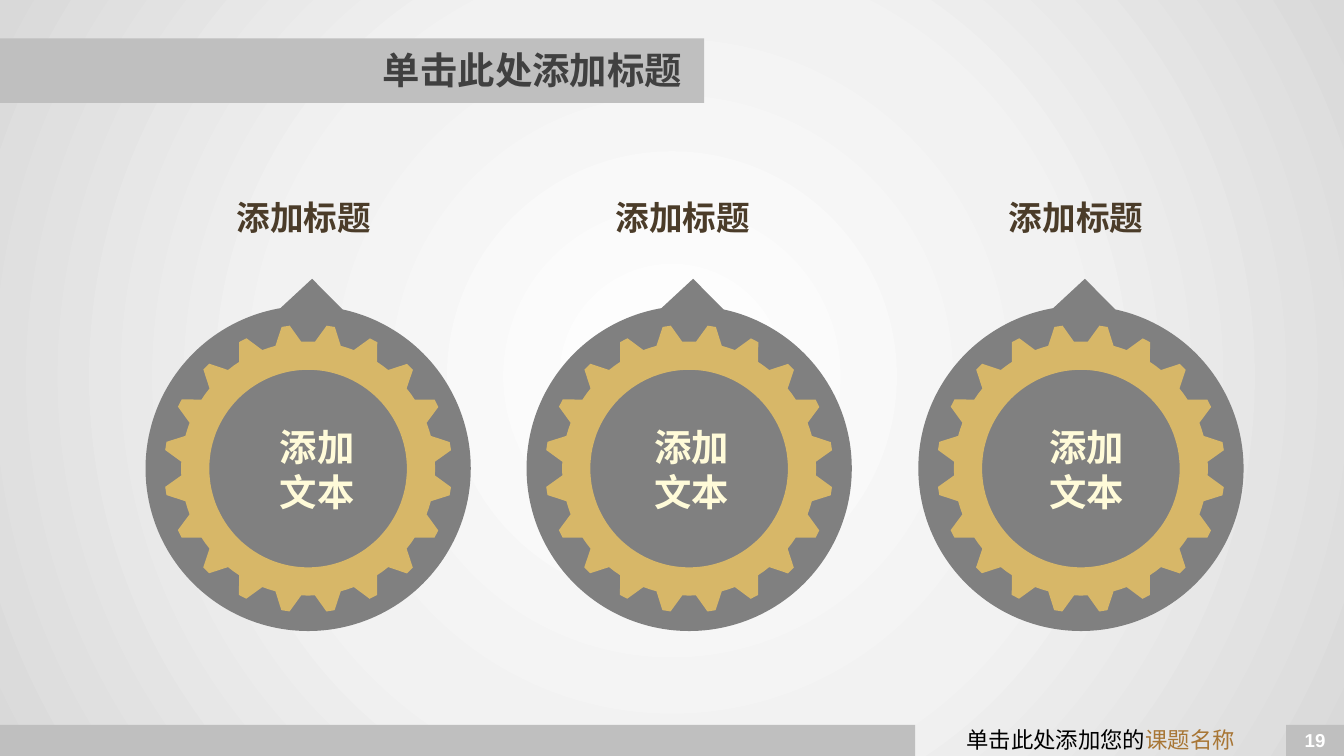
import math

import lxml.etree
import pptx
import pptx.dml.color
import pptx.enum.shapes
import pptx.enum.text
import pptx.oxml.ns
import pptx.util

ALIGN = pptx.enum.text.PP_ALIGN
SHAPE = pptx.enum.shapes.MSO_SHAPE
qn = pptx.oxml.ns.qn

COLUMNS, ROWS = 100, 56.25
CELL = pptx.util.Inches(0.1)
BAND, DISC, GOLD = "BFBFBF", "808080", "D7B768"


def color(value):
    return pptx.dml.color.RGBColor.from_string(value)


def grid(*cells):
    return [round(cell * CELL) for cell in cells]


def ring(center, radii, angles):
    x, y = center
    return [
        grid(x + r * math.sin(math.radians(a)), y - r * math.cos(math.radians(a)))
        for r, a in zip(radii, angles)
    ]


class SlideBuilder:
    latin = "Arial"
    asian = "Noto Sans CJK SC"
    wide_inset = (0.13, 0.07)
    normal_inset = (0.1, 0.05)

    def __init__(self, slide):
        self.slide = slide

    def paint(self, shape, fill):
        shape.shadow.inherit = False
        shape.fill.solid()
        shape.fill.fore_color.rgb = color(fill)
        shape.line.fill.background()
        return shape

    def block(self, place, fill, preset=SHAPE.RECTANGLE, adjustments=()):
        shape = self.slide.shapes.add_shape(preset, *grid(*place))
        for index, value in enumerate(adjustments):
            shape.adjustments[index] = value
        return self.paint(shape, fill)

    def radial_block(self, place, stops):
        solid = self.block(place, stops[0][1])._element.spPr.find(qn("a:solidFill"))
        gradient = lxml.etree.Element(qn("a:gradFill"), rotWithShape="1")
        stop_list = lxml.etree.SubElement(gradient, qn("a:gsLst"))
        for position, value in stops:
            stop = lxml.etree.SubElement(stop_list, qn("a:gs"), pos=str(position * 1000))
            lxml.etree.SubElement(stop, qn("a:srgbClr"), val=value)
        circle = lxml.etree.SubElement(gradient, qn("a:path"), path="circle")
        lxml.etree.SubElement(
            circle, qn("a:fillToRect"), l="50000", t="50000", r="50000", b="50000"
        )
        solid.getparent().replace(solid, gradient)

    def gear(self, center, teeth=20, root=9.45, tip=10.72, hole=7.35):
        pitch = 360 / teeth
        profile = [(-3.1, root), (0, root), (3.1, root), (7.4, tip), (10.7, tip)]
        corners = [(n * pitch + a, r) for n in range(teeth) for a, r in profile]
        outline = ring(center, [r for _, r in corners], [a for a, _ in corners])
        opening = ring(center, [hole] * 120, range(0, 360, 3))
        builder = self.slide.shapes.build_freeform(*opening[0])
        builder.add_line_segments(opening[1:], close=True)
        builder.move_to(*outline[0])
        builder.add_line_segments(outline[1:], close=True)
        self.paint(builder.convert_to_shape(), GOLD)

    def text(self, place, parts, size, align=ALIGN.CENTER, bold=True,
             inset=wide_inset, wrap=True, grow=True, latin=None):
        frame = self.slide.shapes.add_textbox(*grid(*place)).text_frame
        frame.word_wrap = wrap
        frame.margin_left = frame.margin_right = pptx.util.Inches(inset[0])
        frame.margin_top = frame.margin_bottom = pptx.util.Inches(inset[1])
        if grow:
            frame.auto_size = pptx.enum.text.MSO_AUTO_SIZE.SHAPE_TO_FIT_TEXT
        else:
            frame.vertical_anchor = pptx.enum.text.MSO_ANCHOR.MIDDLE
        paragraph = frame.paragraphs[0]
        paragraph.alignment = align
        font = paragraph.font
        font.size, font.bold = pptx.util.Pt(size), bold
        font.name = latin or self.latin
        defaults = paragraph._p.pPr.find(qn("a:defRPr"))
        lxml.etree.SubElement(defaults, qn("a:ea"), typeface=self.asian)
        if len(parts) == 1:
            font.color.rgb = color(parts[0][1])
        for words, value in parts:
            run = paragraph.add_run()
            run.text = words
            if len(parts) > 1:
                run.font.color.rgb = color(value)


def main():
    deck = pptx.Presentation()
    deck.slide_width, deck.slide_height = grid(COLUMNS, ROWS)
    page = SlideBuilder(deck.slides.add_slide(deck.slide_layouts[6]))

    page.radial_block((0, -0.3, COLUMNS, 56.6),
                      [(0, "FFFFFF"), (51, "F2F2F2"), (100, "D9D9D9")])
    for band in ((0, 2.85, 52.4, 4.8), (0, 53.95, 68.1, 2.3), (95.7, 53.95, 4.3, 2.3)):
        page.block(band, BAND)
    page.text((95.65, 53.55, 4.4, 3), [("19", "FFFFFF")], 10, wrap=False)
    page.text((68.15, 53.3, 27.5, 3.4),
              [("单击此处添加您的", "000000"), ("课题名称", "A87635")], 12, bold=False)
    page.text((7.45, 2.4, 44.3, 5.5), [("单击此处添加标题", "404040")], 20,
              align=ALIGN.RIGHT, inset=page.normal_inset, grow=False)

    diameter, middle = 24.2, 34.87
    for center, heading_left, label_left in (
        (22.93, 10.5, 19.4), (51.28, 38.7, 47.25), (80.43, 67.97, 76.65)
    ):
        page.block((center - diameter / 2, 22.75, diameter, diameter), DISC,
                   SHAPE.OVAL_CALLOUT, (0.012, -0.583))
        page.text((heading_left, 13.95, diameter, 4.4), [("添加标题", "4B3C29")], 18,
                  latin=page.asian)
        page.gear((center, middle))
        page.text((label_left, 31.1, 8.4, 7.7), [("添加文本", "FFFBD9")], 20,
                  inset=page.normal_inset)

    deck.save("out.pptx")


if __name__ == "__main__":
    main()
